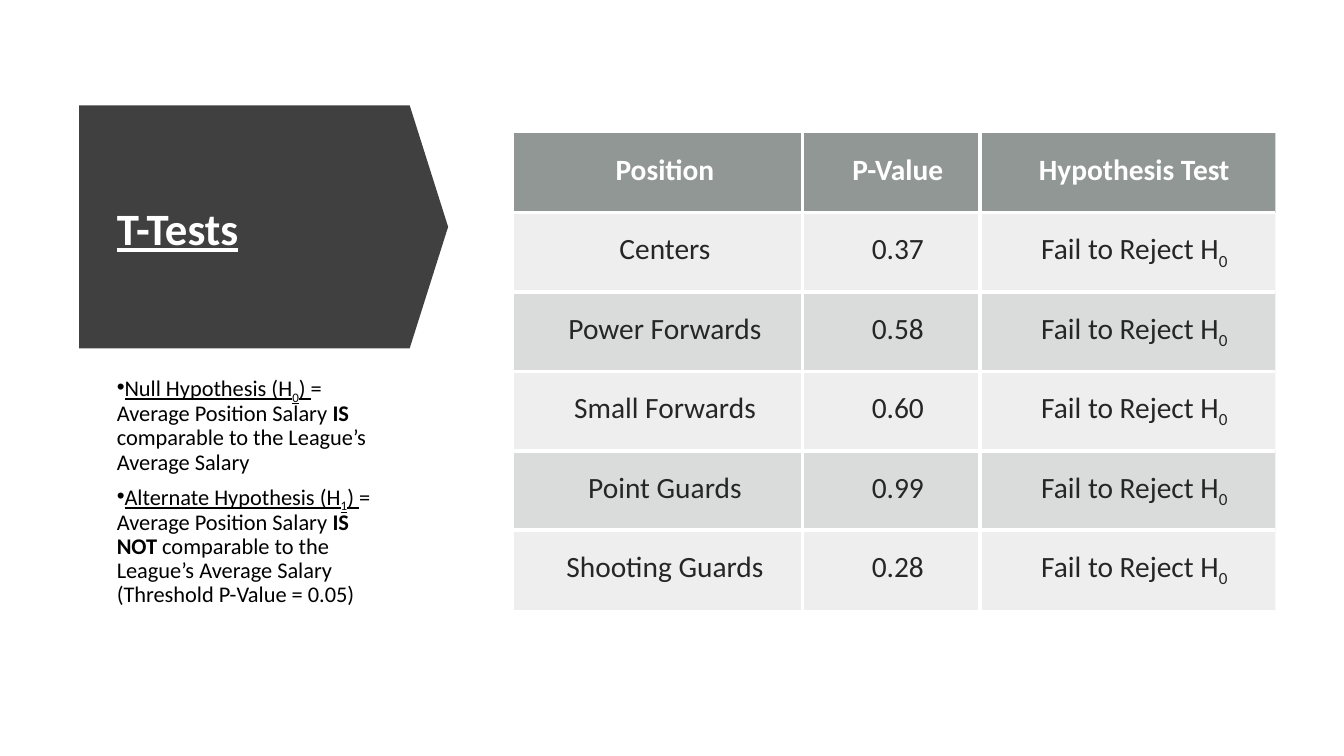
import lxml.etree
import pptx
import pptx.dml.color
import pptx.enum.shapes
import pptx.enum.text
import pptx.oxml.ns
import pptx.util

Inches = pptx.util.Inches
Pt = pptx.util.Pt
RGBColor = pptx.dml.color.RGBColor
PP_ALIGN = pptx.enum.text.PP_ALIGN
qn = pptx.oxml.ns.qn

FONT = "Calibri"
WHITE = RGBColor(0xFF, 0xFF, 0xFF)
BLACK = RGBColor(0x00, 0x00, 0x00)
CHARCOAL = RGBColor(0x40, 0x40, 0x40)
CELL_TEXT = RGBColor(0x26, 0x26, 0x26)
HEADER_FILL = RGBColor(0x63, 0x6B, 0x68)
BODY_FILL = RGBColor(0x87, 0x8E, 0x8B)

HEADERS = ["Position", "P-Value", "Hypothesis Test"]
P_VALUES = [
    ("Centers", "0.37"),
    ("Power Forwards", "0.58"),
    ("Small Forwards", "0.60"),
    ("Point Guards", "0.99"),
    ("Shooting Guards", "0.28"),
]
COL_WIDTHS = [2.86, 1.76, 2.93]
HYPOTHESES = [
    ("Null Hypothesis (H", "0", "IS", " comparable to the League’s Average Salary"),
    ("Alternate Hypothesis (H", "1", "IS NOT ",
     "comparable to the League’s Average Salary (Threshold P-Value = 0.05)"),
]


def add_run(p, text, size, color, bold=False, underline=False, subscript=False):
    r = p.add_run()
    r.text = text
    r.font.name = FONT
    r.font.size = Pt(size)
    r.font.color.rgb = color
    r.font.bold = bold
    r.font.underline = underline
    if subscript:
        r._r.get_or_add_rPr().set("baseline", "-25000")


def space_lines(p):
    p.line_spacing = 0.9
    p.space_before = Pt(0)
    p.space_after = Pt(6)


def add_title(s):
    title = s.shapes.title
    title.left, title.top = Inches(1.06), Inches(1.32)
    title.width, title.height = Inches(2.92), Inches(1.95)
    tf = title.text_frame
    tf.word_wrap = True
    tf.auto_size = pptx.enum.text.MSO_AUTO_SIZE.NONE
    tf.vertical_anchor = pptx.enum.text.MSO_ANCHOR.MIDDLE
    p = tf.paragraphs[0]
    p.alignment = PP_ALIGN.LEFT
    space_lines(p)
    add_run(p, "T-Tests", 32, WHITE, bold=True, underline=True)


def add_title_arrow(s):
    sp = s.shapes.add_shape(pptx.enum.shapes.MSO_SHAPE.DOWN_ARROW,
                            Inches(1.41), Inches(0.42), Inches(2.41), Inches(3.66))
    sp.rotation = 270
    sp.adjustments[0] = 1
    sp.adjustments[1] = 0.158
    sp.shadow.inherit = False
    sp.fill.solid()
    sp.fill.fore_color.rgb = CHARCOAL
    sp.line.fill.background()
    s.shapes.title._element.addprevious(sp._element)


def add_bullet(p):
    pPr = p._p.get_or_add_pPr()
    pPr.set("marL", "0")
    pPr.set("indent", str(Inches(-0.25)))
    lxml.etree.SubElement(pPr, qn("a:buFont")).set("typeface", "Arial")
    lxml.etree.SubElement(pPr, qn("a:buChar")).set("char", "•")


def add_hypotheses(s):
    box = s.shapes.add_textbox(Inches(1.06), Inches(3.67), Inches(2.92), Inches(2.65))
    tf = box.text_frame
    tf.word_wrap = True
    for i, (name, index, verb, claim) in enumerate(HYPOTHESES):
        p = tf.add_paragraph() if i else tf.paragraphs[0]
        space_lines(p)
        add_bullet(p)
        add_run(p, name, 16, BLACK, underline=True)
        add_run(p, index, 16, BLACK, underline=True, subscript=True)
        add_run(p, ") ", 16, BLACK, underline=True)
        add_run(p, "= Average Position Salary ", 16, BLACK)
        add_run(p, verb, 16, BLACK, bold=True)
        add_run(p, claim, 16, BLACK)


def set_border(cell, side, visible):
    ln = lxml.etree.SubElement(cell._tc.get_or_add_tcPr(), qn("a:ln" + side))
    if visible:
        ln.set("w", str(Pt(3)))
        fill = lxml.etree.SubElement(ln, qn("a:solidFill"))
        lxml.etree.SubElement(fill, qn("a:srgbClr")).set("val", str(WHITE))
    else:
        ln.set("w", "0")
        lxml.etree.SubElement(ln, qn("a:noFill"))


def fill_cell(cell, color, opacity):
    cell.fill.solid()
    cell.fill.fore_color.rgb = color
    clr = cell._tc.tcPr.find(qn("a:solidFill")).find(qn("a:srgbClr"))
    lxml.etree.SubElement(clr, qn("a:alpha")).set("val", str(opacity * 1000))


def format_cell(cell, row, col):
    cell.margin_left = Inches(0.32)
    cell.margin_right = cell.margin_top = cell.margin_bottom = Inches(0.19)
    set_border(cell, "L", col > 0)
    set_border(cell, "R", col < len(HEADERS) - 1)
    set_border(cell, "T", row > 0)
    set_border(cell, "B", row < len(P_VALUES))
    if row == 0:
        fill_cell(cell, HEADER_FILL, 70)
    else:
        fill_cell(cell, BODY_FILL, 15 if row % 2 else 30)


def add_results_table(s):
    rows = [HEADERS] + [[*pair, "Fail to Reject H"] for pair in P_VALUES]
    table = s.shapes.add_table(len(rows), len(HEADERS), Inches(5.1), Inches(1.32),
                               Inches(7.55), Inches(4.73)).table
    table.first_row = table.horz_banding = False
    for column, width in zip(table.columns, COL_WIDTHS):
        column.width = Inches(width)
    for i, row in enumerate(rows):
        for j, text in enumerate(row):
            cell = table.cell(i, j)
            format_cell(cell, i, j)
            p = cell.text_frame.paragraphs[0]
            p.alignment = PP_ALIGN.CENTER
            add_run(p, text, 21, CELL_TEXT if i else WHITE, bold=i == 0)
            if i and j == 2:
                add_run(p, "0", 21, CELL_TEXT, subscript=True)


def main():
    prs = pptx.Presentation()
    prs.slide_width, prs.slide_height = Inches(13.33), Inches(7.5)
    s = prs.slides.add_slide(prs.slide_layouts.get_by_name("Title Only"))
    add_title(s)
    add_title_arrow(s)
    add_hypotheses(s)
    add_results_table(s)
    prs.save("out.pptx")


if __name__ == "__main__":
    main()
